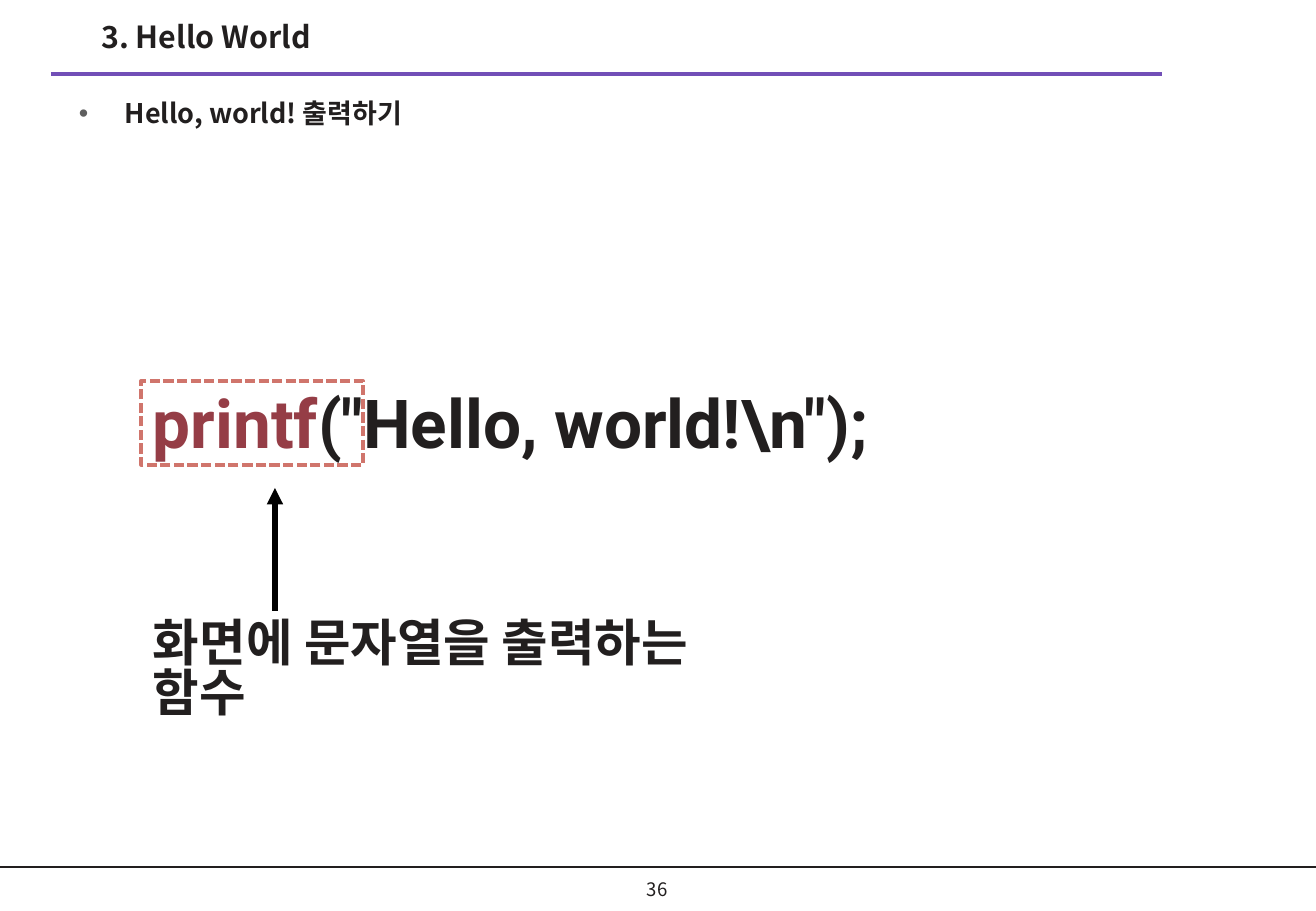
from pptx import Presentation
from pptx.dml.color import RGBColor
from pptx.enum.dml import MSO_LINE_DASH_STYLE as DASH
from pptx.enum.shapes import MSO_CONNECTOR, MSO_SHAPE
from pptx.enum.text import MSO_ANCHOR, PP_ALIGN
from pptx.oxml.ns import qn
from pptx.util import Pt
from lxml.etree import SubElement

PX = 914400 / 121.5
INK = RGBColor(0x22, 0x1F, 0x1F)
PURPLE = RGBColor(0x72, 0x4F, 0xB7)
RED = RGBColor(0x95, 0x3D, 0x46)
SALMON = RGBColor(0xD0, 0x75, 0x6C)
BLACK = RGBColor(0, 0, 0)
NOTO, ROBOTO = "Noto Sans CJK KR", "Roboto"


def px(*lengths):
    return [round(length * PX) for length in lengths]


def write(box, place, runs, size, font=NOTO, bold=True, spacing=1.0,
          align=PP_ALIGN.LEFT, anchor=MSO_ANCHOR.TOP):
    box.left, box.top, box.width, box.height = px(*place)
    frame = box.text_frame
    frame.word_wrap = True
    frame.vertical_anchor = anchor
    line = frame.paragraphs[0]
    line.alignment = align
    line.line_spacing = spacing
    for words, color in runs:
        run = line.add_run()
        run.text = words
        for name, value in {"size": Pt(size), "bold": bold, "name": font}.items():
            setattr(run.font, name, value)
        run.font.color.rgb = color
        SubElement(run.font._element, qn("a:ea"), typeface=font)
    return line


deck = Presentation()
deck.slide_width, deck.slide_height = px(1316, 911)
slide = deck.slides.add_slide(deck.slide_layouts[5])
shapes = slide.shapes

rules = []
for ends, color, weight in [
    ((0, 867, 1317, 867), INK, 1),
    ((51, 74, 1162, 74), PURPLE, 2.25),
    ((275, 611, 275, 488), BLACK, 3.25),
]:
    rule = shapes.add_connector(MSO_CONNECTOR.STRAIGHT, *px(*ends))
    rule.line.color.rgb = color
    rule.line.width = Pt(weight)
    SubElement(rule._element.spPr, qn("a:effectLst"))
    rules.append(rule)
pointer = rules[-1]
SubElement(pointer.line._get_or_add_ln(), qn("a:tailEnd"), type="triangle")

write(shapes.title, (89, 17, 674, 58), [("3. Hello World", INK)], 18, spacing=0.88)
write(shapes.add_textbox(0, 0, 0, 0), (620, 869, 74, 40), [("36", INK)], 11,
      bold=False, align=PP_ALIGN.CENTER, anchor=MSO_ANCHOR.MIDDLE)

topic = write(shapes.add_textbox(0, 0, 0, 0), (67, 95, 1077, 660),
              [("Hello, world! 출력하기", INK)], 16, spacing=0.88)
topic_format = topic._p.get_or_add_pPr()
indent = px(46)[0]
topic_format.set("marL", str(indent))
topic_format.set("indent", str(-indent))
bullet_color = SubElement(topic_format, qn("a:buClr"))
SubElement(bullet_color, qn("a:srgbClr"), val="5F5F5F")
SubElement(topic_format, qn("a:buFont"), typeface="Arial")
SubElement(topic_format, qn("a:buChar"), char="•")

write(shapes.add_textbox(0, 0, 0, 0), (141, 375, 910, 94),
      [("printf", RED), ("(\"Hello, world!\\n\");", INK)], 40, font=ROBOTO)

highlight = shapes.add_shape(MSO_SHAPE.RECTANGLE, *px(141, 381, 222, 84))
highlight.shadow.inherit = False
highlight.fill.background()
highlight.line.color.rgb = SALMON
highlight.line.width = Pt(2)
highlight.line.dash_style = DASH.SQUARE_DOT

write(shapes.add_textbox(0, 0, 0, 0), (141, 616, 648, 74),
      [("화면에 문자열을 출력하는 함수", INK)], 30, spacing=0.82)

deck.save("out.pptx")
